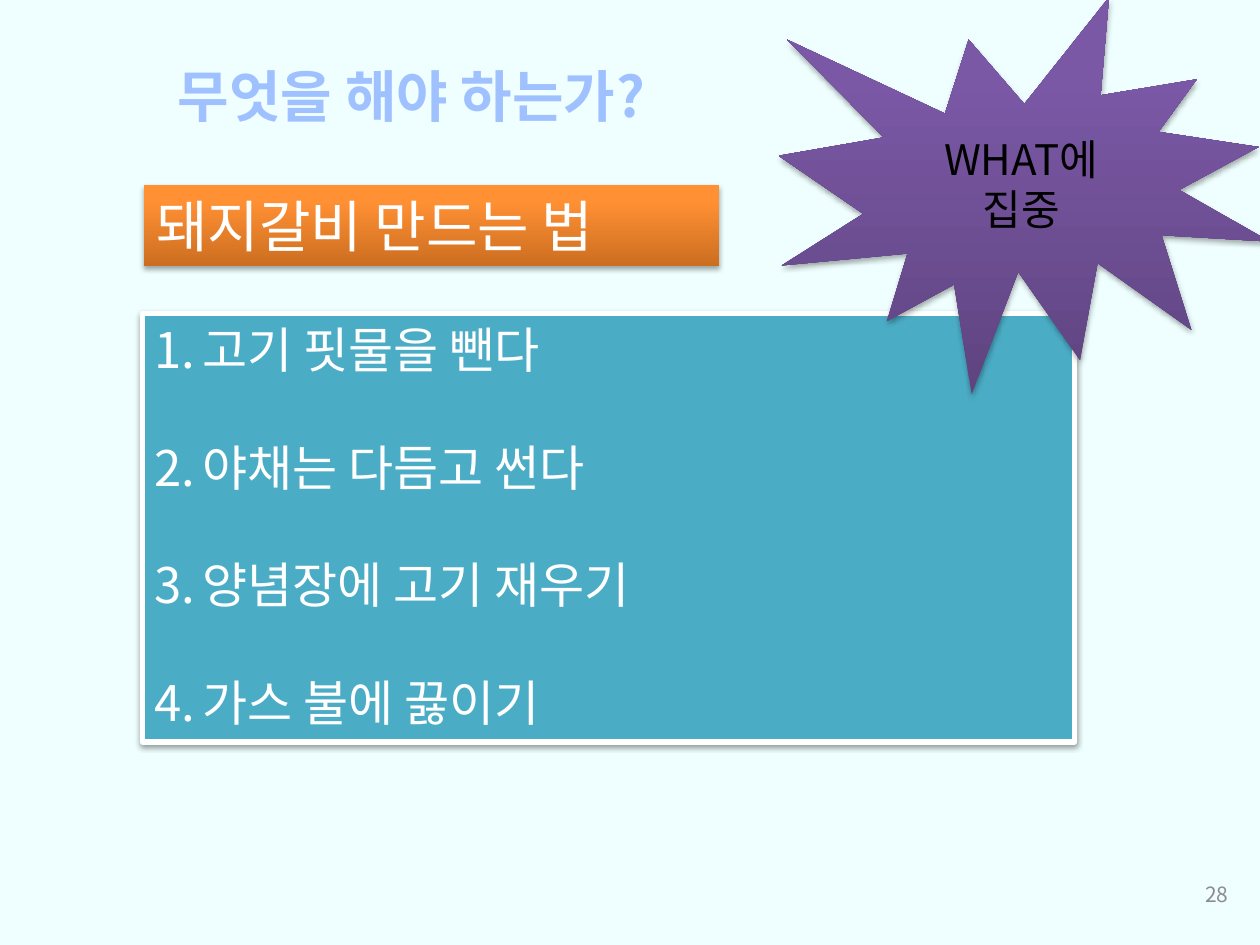
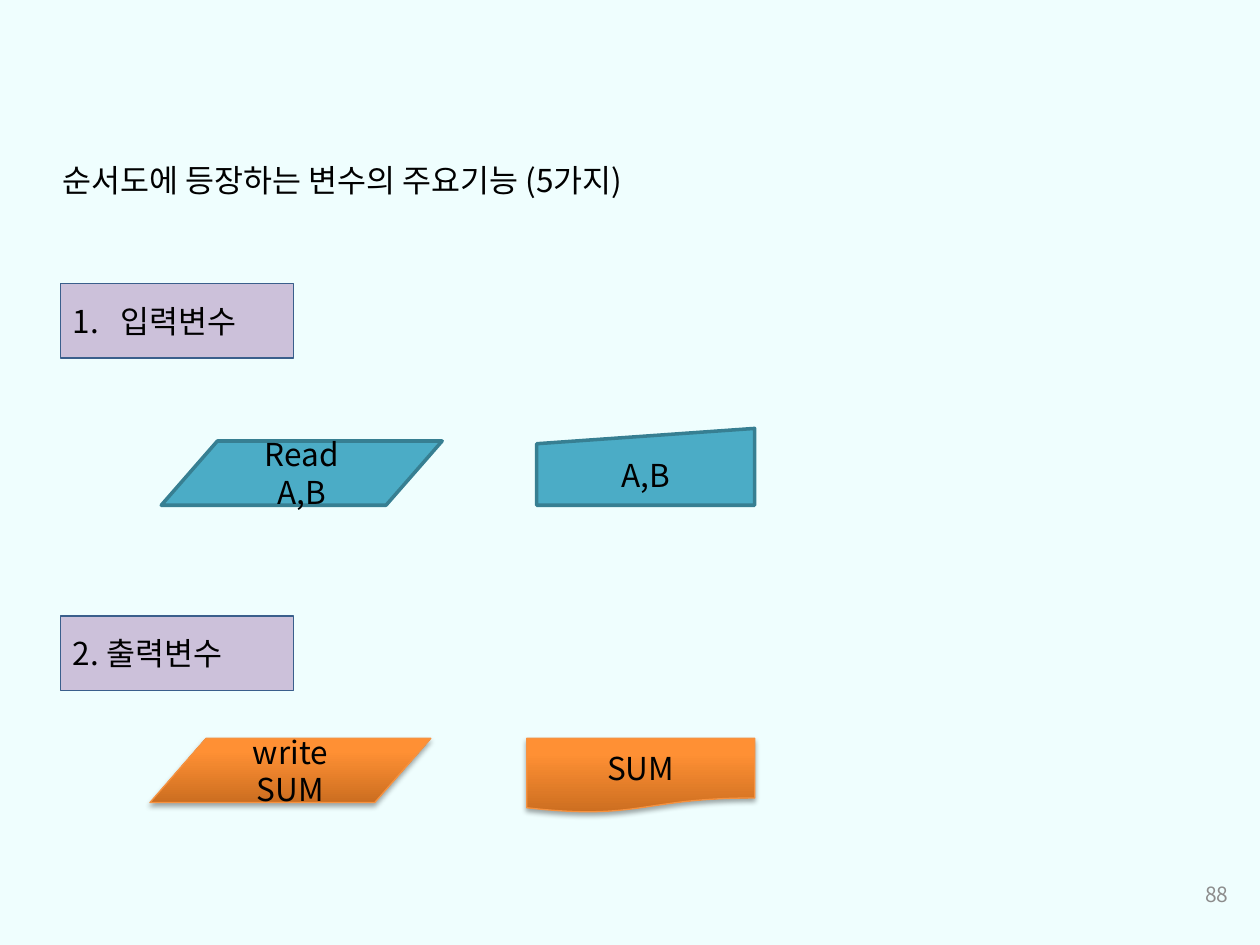
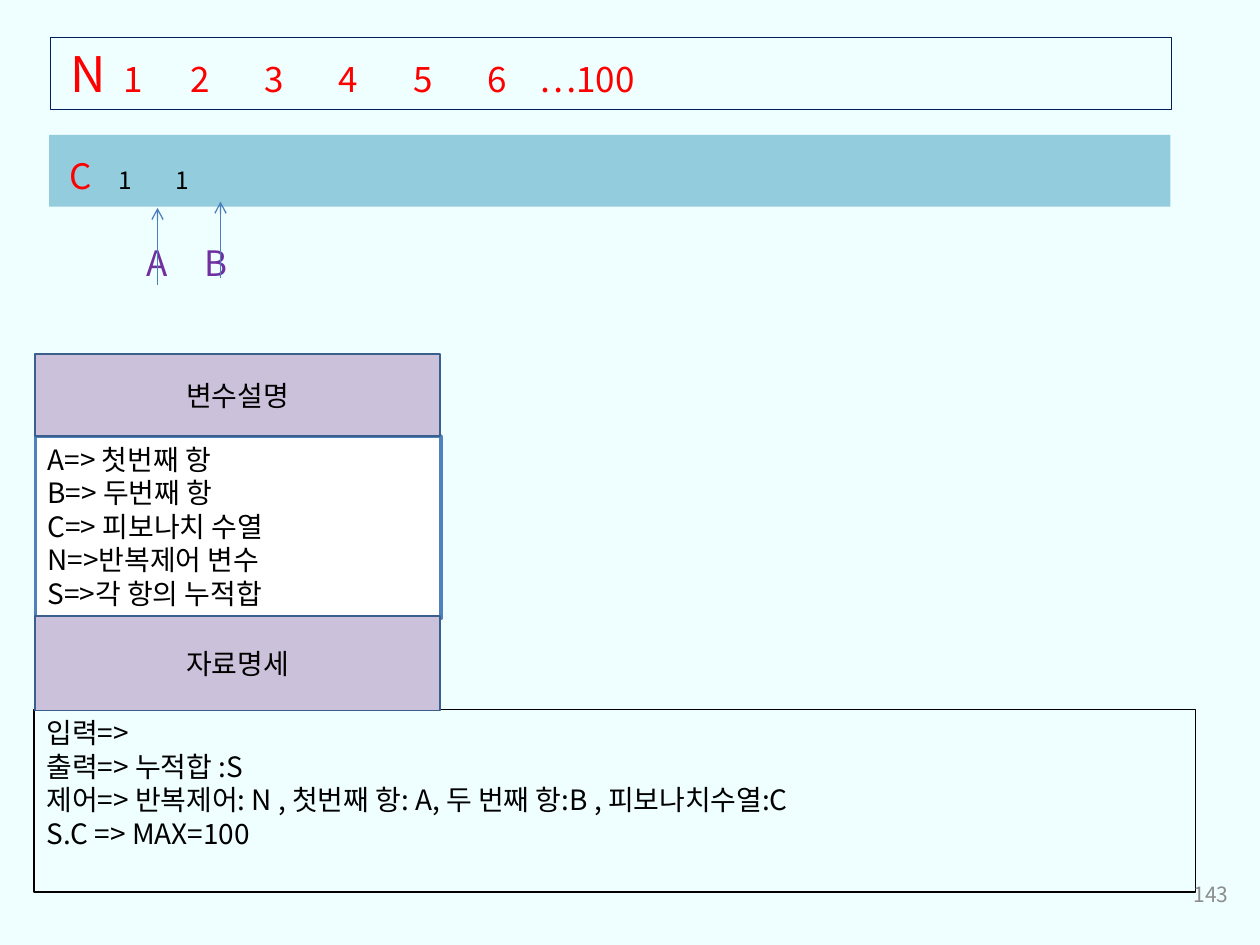
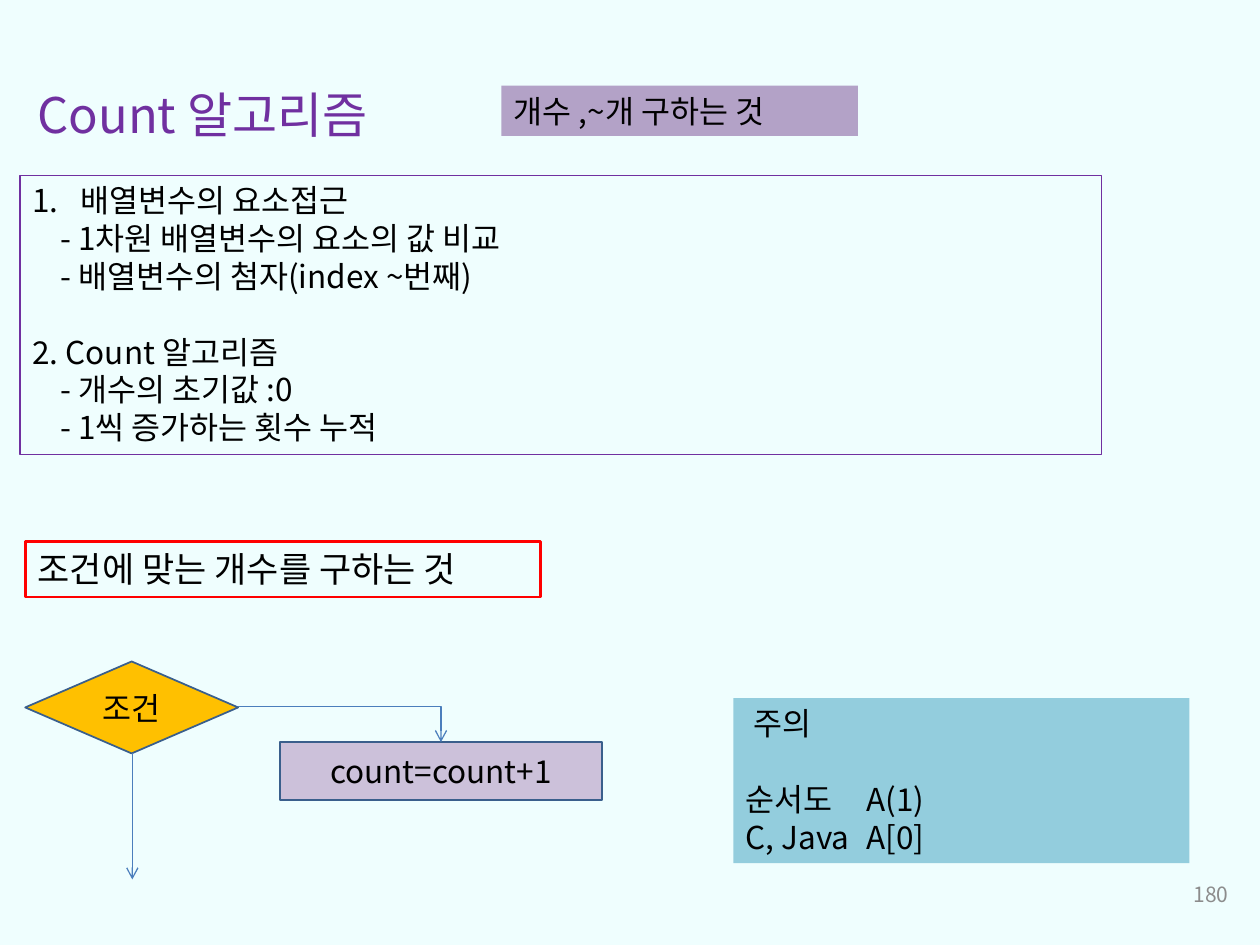
from dataclasses import dataclass

from lxml import etree
from pptx import Presentation
from pptx.dml.color import RGBColor
from pptx.enum.shapes import MSO_CONNECTOR, MSO_SHAPE
from pptx.enum.text import MSO_ANCHOR, PP_ALIGN
from pptx.oxml.ns import qn
from pptx.util import Inches, Pt

LEFT, CENTER, RIGHT = PP_ALIGN.LEFT, PP_ALIGN.CENTER, PP_ALIGN.RIGHT
TOP, MIDDLE = MSO_ANCHOR.TOP, MSO_ANCHOR.MIDDLE
STRAIGHT, ELBOW = MSO_CONNECTOR.STRAIGHT, MSO_CONNECTOR.ELBOW
RECT = MSO_SHAPE.RECTANGLE
BURST = MSO_SHAPE.EXPLOSION1
DATA = MSO_SHAPE.FLOWCHART_DATA
MANUAL_INPUT = MSO_SHAPE.FLOWCHART_MANUAL_INPUT
DOCUMENT = MSO_SHAPE.FLOWCHART_DOCUMENT
DECISION = MSO_SHAPE.FLOWCHART_DECISION
PROCESS = MSO_SHAPE.FLOWCHART_PROCESS

FONT = "Noto Sans CJK KR"
BACKGROUND = "EFFEFE"
BLACK, WHITE, RED, GREY = "000000", "FFFFFF", "FF0000", "8C8C8C"
TITLE_BLUE, PURPLE, AMBER = "A0C1FF", "7030A0", "FFC000"
TEAL, PALE_TEAL = "4BACC6", "93CDDD"
LILAC, DARK_LILAC = "CCC1DA", "B3A2C7"
ARROW_BLUE = "4B7EBC"
ORANGE_GRADIENT = ("CC6E20", "FF9034")
PURPLE_GRADIENT = ("5F4480", "7B58A6")
LABEL_LINE = ("3A5F8C", 1)
TEAL_LINE = ("377F92", 2)
ORANGE_LINE = ("F69240", 0.75)


@dataclass
class Line:
    """One paragraph: text, or a list of (text, size, colour) runs."""
    content: object
    numbered: bool = False
    indent: float = 0
    before: float = 0
    spacing: float = 1
    tabs: tuple = ()


def rgb(color):
    return RGBColor.from_string(color)


def add_run(para, text, size, color, bold):
    span = para.add_run()
    span.text = text
    font = span.font
    font.size, font.bold, font.name = Pt(size), bold, FONT
    font.color.rgb = rgb(color)
    etree.SubElement(font._element, qn("a:ea"), typeface=FONT)


def format_para(para, line, align):
    props = para._p.get_or_add_pPr()
    if line.numbered:
        props.set("marL", str(Inches(0.38)))
        props.set("indent", str(-Inches(0.38)))
        etree.SubElement(props, qn("a:buFont"), typeface="+mj-lt")
        etree.SubElement(props, qn("a:buAutoNum"), type="arabicPeriod")
    elif line.indent:
        props.set("marL", str(Inches(line.indent)))
    if line.tabs:
        stops = etree.SubElement(props, qn("a:tabLst"))
        for position in line.tabs:
            etree.SubElement(stops, qn("a:tab"), pos=str(Inches(position)), algn="l")
    para.alignment = align
    if line.before:
        para.space_before = Pt(line.before)
    if line.spacing != 1:
        para.line_spacing = line.spacing


def write(shape, lines, size, color=BLACK, align=LEFT, anchor=TOP, bold=False,
          wrap=True, inset=0.1):
    frame = shape.text_frame
    frame.word_wrap = wrap
    frame.vertical_anchor = anchor
    frame.margin_left = Inches(inset)
    for index, line in enumerate(lines):
        if isinstance(line, str):
            line = Line(line)
        para = frame.add_paragraph() if index else frame.paragraphs[0]
        format_para(para, line, align)
        runs = line.content
        if isinstance(runs, str):
            runs = [(runs, size, color)]
        for text, run_size, run_color in runs:
            add_run(para, text, run_size, run_color, bold)


def add_text(page, box, lines, size, color=BLACK, **layout):
    write(page.shapes.add_textbox(*map(Inches, box)), lines, size, color, **layout)


def add_block(page, box, lines, size, color=BLACK, kind=RECT, fill=None, line=None,
              shadow=None, **layout):
    """Filled shape with text; fill is a colour or a (bottom, top) gradient,
    shadow is (opacity in percent, distance in points)."""
    shape = page.shapes.add_shape(kind, *map(Inches, box))
    if fill is None:
        shape.fill.background()
    elif isinstance(fill, str):
        shape.fill.solid()
        shape.fill.fore_color.rgb = rgb(fill)
    else:
        shape.fill.gradient()
        shape.fill.gradient_angle = 90
        for stop, color_name, position in zip(shape.fill.gradient_stops, fill, (0, 0.8)):
            stop.color.rgb = rgb(color_name)
            stop.position = position
    if line:
        shape.line.color.rgb = rgb(line[0])
        shape.line.width = Pt(line[1])
    else:
        shape.line.fill.background()
    shape.shadow.inherit = False
    if shadow:
        add_shadow(shape, *shadow)
    write(shape, lines, size, color, **layout)


def add_shadow(shape, opacity, distance):
    effects = shape._element.spPr.find(qn("a:effectLst"))
    outer = etree.SubElement(effects, qn("a:outerShdw"), blurRad=str(Pt(3.1)),
                             dist=str(Pt(distance)), dir="5400000", rotWithShape="0")
    tint = etree.SubElement(outer, qn("a:srgbClr"), val=BLACK)
    etree.SubElement(tint, qn("a:alpha"), val=str(opacity * 1000))


def add_arrow(page, start, end, kind=STRAIGHT):
    arrow = page.shapes.add_connector(kind, *map(Inches, start + end))
    arrow.line.color.rgb = rgb(ARROW_BLUE)
    arrow.line.width = Pt(0.75)
    props = arrow._element.spPr
    if kind == ELBOW:
        props.find(qn("a:prstGeom")).set("prst", "bentConnector2")
    etree.SubElement(props.find(qn("a:ln")), qn("a:tailEnd"), type="arrow")
    etree.SubElement(props, qn("a:effectLst"))


def add_page(deck, number):
    page = deck.slides.add_slide(deck.slide_layouts[6])
    return page, lambda: add_text(page, (7.52, 6.9, 2.33, 0.4), [str(number)], 12,
                                  GREY, align=RIGHT, anchor=MIDDLE)


def add_label(page, box, line, size, align=CENTER, kind=RECT, fill=LILAC):
    add_block(page, box, [line], size, kind=kind, fill=fill, line=LABEL_LINE,
              align=align, anchor=MIDDLE)


def recipe(page, box):
    left, top, width, height = box
    steps = ["고기 핏물을 뺀다", "야채는 다듬고 썬다", "양념장에 고기 재우기", "가스 불에 끓이기"]
    lines = [Line(step, numbered=True, before=33.5 if index else 0)
             for index, step in enumerate(steps)]
    add_block(page, (left, top + 1.02, width, height - 1.02), lines, 28, WHITE,
              fill=TEAL, line=(WHITE, 3), shadow=(38, 1.6))
    add_block(page, (left + 0.01, top, 4.57, 0.64), ["돼지갈비 만드는 법"], 32, WHITE,
              fill=ORANGE_GRADIENT, shadow=(35, 1.8))


def recipe_slide(deck):
    page, add_number = add_page(deck, 28)
    recipe(page, (1.13, 1.47, 7.4, 4.42))
    add_text(page, (1.11, 0.44, 4.31, 0.64), ["무엇을 해야 하는가?"], 32, TITLE_BLUE,
             align=CENTER, bold=True, wrap=False)
    add_block(page, (6.18, -0.02, 3.9, 3.15), ["WHAT에", "집중"], 24, kind=BURST,
              fill=PURPLE_GRADIENT, shadow=(35, 1.8), align=CENTER, anchor=MIDDLE)
    add_number()


def variable_slide(deck):
    page, add_number = add_page(deck, 88)
    add_text(page, (0.4, 1.23, 7.32, 0.4), ["순서도에 등장하는 변수의 주요기능 (5가지)"], 18)
    labels = [(2.25, Line("입력변수", numbered=True)), (4.89, "2. 출력변수")]
    for top, label in labels:
        add_label(page, (0.48, top, 1.85, 0.59), label, 18, align=LEFT)
    input_style = dict(fill=TEAL, line=TEAL_LINE)
    output_style = dict(fill=ORANGE_GRADIENT, line=ORANGE_LINE, shadow=(35, 1.8))
    symbols = [
        (DATA, (1.28, 3.5, 2.23, 0.51), ["Read", "A,B"], input_style),
        (MANUAL_INPUT, (4.26, 3.4, 1.73, 0.61), ["A,B"], input_style),
        (DATA, (1.19, 5.86, 2.23, 0.51), ["write", "SUM"], output_style),
        (DOCUMENT, (4.18, 5.86, 1.81, 0.59), ["SUM"], output_style),
    ]
    for kind, box, lines, style in symbols:
        add_block(page, box, lines, 18, kind=kind, align=CENTER, anchor=MIDDLE, **style)
    add_number()


def sequence_rows(page, left, top):
    """Rows for the counter N and the series C, with markers A and B below."""
    counter_tabs = (0.42, *(0.95 + 0.59 * step for step in range(5)), 3.72)
    counter = [("N", 28, RED), ("\t1\t2\t3\t4\t5\t6\t…100", 20, RED)]
    add_block(page, (left + 0.01, top, 8.9, 0.57), [Line(counter, tabs=counter_tabs)], 20,
              line=("002060", 0.75), inset=0.16)
    series = [("C", 20, RED), ("\t", 28, RED), ("1\t1", 14, BLACK)]
    add_block(page, (left, top + 0.77, 8.9, 0.57), [Line(series, tabs=(0.39, 0.84))], 20,
              fill=PALE_TEAL, inset=0.16)
    markers = [("A", 0.62, 0.86, 1.35), ("B", 1.09, 1.36, 1.3)]
    for name, text_x, arrow_x, tip in markers:
        add_text(page, (left + text_x, top + 1.57, 0.47, 0.77), [name], 20, PURPLE,
                 align=CENTER)
        add_arrow(page, (left + arrow_x, top + tip + 0.61), (left + arrow_x, top + tip))


def variable_notes(page, left, top):
    meanings = ["A=> 첫번째 항", "B=> 두번째 항", "C=> 피보나치 수열",
                "N=>반복제어 변수", "S=>각 항의 누적합"]
    data = ["입력=>", "출력=> 누적합 :S",
            "제어=> 반복제어: N , 첫번째 항: A, 두 번째 항:B , 피보나치수열:C",
            "S.C => MAX=100"]
    add_block(page, (left, top + 0.65, 3.22, 1.45), meanings, 16, fill=WHITE,
              line=("4F81BD", 2))
    add_block(page, (left - 0.01, top + 2.82, 9.22, 1.45), data, 16, line=(BLACK, 0.75))
    add_label(page, (left, top + 2.08, 3.21, 0.75), "자료명세", 16)
    add_label(page, (left, top, 3.21, 0.65), "변수설명", 16)


def fibonacci_slide(deck):
    page, add_number = add_page(deck, 143)
    sequence_rows(page, 0.39, 0.3)
    variable_notes(page, 0.28, 2.81)
    add_number()


def count_flow(page, left, top):
    add_label(page, (left, top, 1.69, 0.73), "조건", 18, kind=DECISION, fill=AMBER)
    add_label(page, (left + 2.02, top + 0.64, 2.56, 0.46), "count=count+1", 18, kind=PROCESS)
    add_arrow(page, (left + 1.69, top + 0.36), (left + 3.3, top + 0.64), ELBOW)
    add_arrow(page, (left + 0.85, top + 0.73), (left + 0.85, top + 1.73))


def count_slide(deck):
    page, add_number = add_page(deck, 180)
    add_text(page, (0.2, 0.39, 9.37, 0.7), [Line("Count 알고리즘", spacing=1.5)], 28, PURPLE)
    outline = [
        Line("배열변수의 요소접근", numbered=True),
        Line("- 1차원 배열변수의 요소의 값 비교", indent=0.22),
        Line("- 배열변수의 첨자(index ~번째)", indent=0.22),
        Line("2. Count 알고리즘", before=21.6),
        Line("- 개수의 초기값 :0", indent=0.22),
        Line("- 1씩 증가하는 횟수 누적", indent=0.22),
    ]
    add_block(page, (0.16, 1.39, 8.58, 2.22), outline, 18, line=(PURPLE, 0.75))
    add_block(page, (3.98, 0.68, 2.83, 0.4), ["개수 ,~개 구하는 것"], 18, fill=DARK_LILAC)
    add_block(page, (0.2, 4.3, 4.09, 0.44), ["조건에 맞는 개수를 구하는 것"], 20,
              line=(RED, 1.5))
    count_flow(page, 0.2, 5.25)
    caution = [Line("주의", indent=0.06),
               Line("순서도\tA(1)", before=21.6, tabs=(0.96,)),
               Line("C, Java\tA[0]", tabs=(0.96,))]
    add_block(page, (5.82, 5.54, 3.62, 1.31), caution, 18, fill=PALE_TEAL)
    add_number()


def main():
    deck = Presentation()
    deck.slide_width, deck.slide_height = Inches(10), Inches(7.5)
    backdrop = deck.slide_master.background.fill
    backdrop.solid()
    backdrop.fore_color.rgb = rgb(BACKGROUND)
    for build in (recipe_slide, variable_slide, fibonacci_slide, count_slide):
        build(deck)
    deck.save("out.pptx")


if __name__ == "__main__":
    main()
